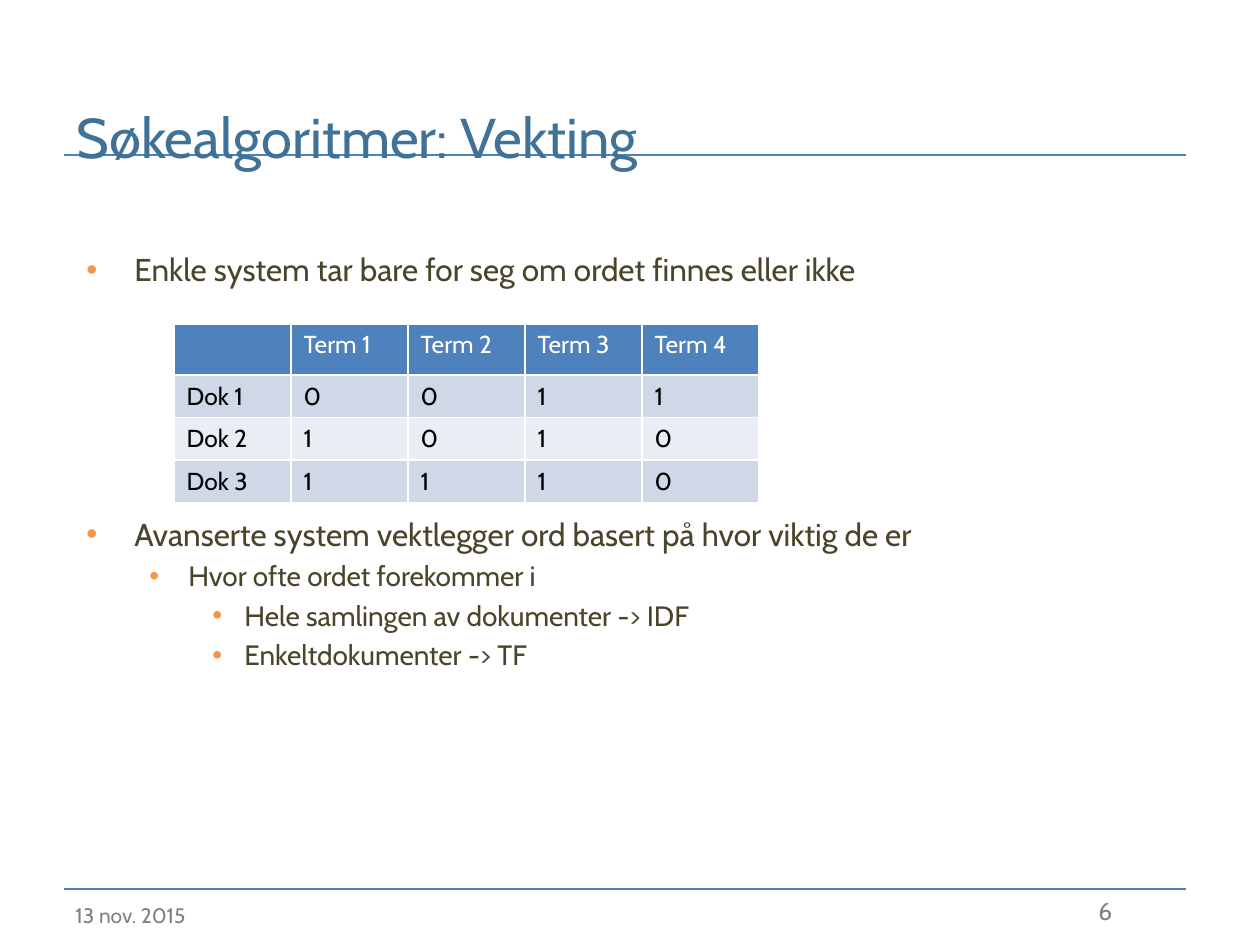
from dataclasses import dataclass

from lxml import etree
from pptx import Presentation, util as u
from pptx.dml.color import RGBColor
from pptx.enum import shapes, text
from pptx.oxml import ns


@dataclass(frozen=True)
class Theme:
    font: str = "Cabin"
    title: str = "407297"
    body: str = "4A452A"
    bullet: str = "F79646"
    muted: str = "808080"
    accent: str = "4F81BD"
    white: str = "FFFFFF"
    black: str = "000000"
    bands: tuple = ("D0D8E8", "E9EDF4")
    title_size: int = 32
    body_size: int = 18
    sub_size: int = 16
    small_size: int = 14
    date_size: int = 12
    line_width: float = 0.75
    border_width: int = 1


def px(n):
    return u.Emu(round(n * 914400 / 126))


def rgb(value):
    return RGBColor.from_string(value)


def add_xml(parent, tag, **attrs):
    return etree.SubElement(parent, ns.qn(tag), attrs)


class SlideBuilder:
    INDENTS = ((48, 48), (102, 39), (158, 32))

    def __init__(self, s, theme):
        self.s = s
        self.theme = theme

    def run(self, p, content, size, color):
        r = p.add_run()
        r.text = content
        r.font.name = self.theme.font
        r.font.size = u.Pt(size)
        r.font.bold = False
        r.font.color.rgb = rgb(color)

    def frame(self, x, y, w, h):
        tf = self.s.shapes.add_textbox(px(x), px(y), px(w), px(h)).text_frame
        tf.word_wrap = True
        tf.auto_size = text.MSO_AUTO_SIZE.NONE
        tf.vertical_anchor = text.MSO_ANCHOR.TOP
        return tf

    def label(self, content, box, size, color):
        self.run(self.frame(*box).paragraphs[0], content, size, color)

    def bullets(self, items, box):
        tf = self.frame(*box)
        for i, (level, before, content) in enumerate(items):
            p = tf.add_paragraph() if i else tf.paragraphs[0]
            p.level = level
            p.space_before = px(before)
            left, hang = self.INDENTS[level]
            pPr = p._p.get_or_add_pPr()
            pPr.set("marL", str(px(left)))
            pPr.set("indent", str(-px(hang)))
            color = add_xml(pPr, "a:buClr")
            add_xml(color, "a:srgbClr", val=self.theme.bullet)
            add_xml(pPr, "a:buFont", typeface="Arial")
            add_xml(pPr, "a:buChar", char="•")
            size = self.theme.sub_size if level else self.theme.body_size
            self.run(p, content, size, self.theme.body)

    def rule(self, x1, x2, y):
        line = self.s.shapes.add_connector(
            shapes.MSO_CONNECTOR.STRAIGHT, px(x1), px(y), px(x2), px(y))
        line.line.color.rgb = rgb(self.theme.accent)
        line.line.width = u.Pt(self.theme.line_width)
        add_xml(line._element.spPr, "a:effectLst")

    def borders(self, cell):
        tcPr = cell._tc.get_or_add_tcPr()
        width = str(u.Pt(self.theme.border_width))
        for i, side in enumerate(("lnL", "lnR", "lnT", "lnB")):
            ln = etree.Element(ns.qn(f"a:{side}"), {"w": width})
            fill = add_xml(ln, "a:solidFill")
            add_xml(fill, "a:srgbClr", val=self.theme.white)
            tcPr.insert(i, ln)

    def table(self, rows, x, y, col_width, row_height):
        t = self.theme
        n_rows, n_cols = len(rows), len(rows[0])
        table = self.s.shapes.add_table(
            n_rows, n_cols, px(x), px(y),
            px(n_cols * col_width), px(n_rows * row_height)).table
        for i, row in enumerate(rows):
            fill = t.bands[(i - 1) % 2] if i else t.accent
            color = t.black if i else t.white
            for j, value in enumerate(row):
                cell = table.cell(i, j)
                cell.fill.solid()
                cell.fill.fore_color.rgb = rgb(fill)
                self.borders(cell)
                if value:
                    p = cell.text_frame.paragraphs[0]
                    self.run(p, value, t.small_size, color)


def main():
    prs = Presentation()
    prs.slide_width, prs.slide_height = px(1260), px(945)
    theme = Theme()
    s = SlideBuilder(prs.slides.add_slide(prs.slide_layouts[6]), theme)

    for y in (155, 889):
        s.rule(64, 1186, y)
    s.label("Søkealgoritmer: Vekting", (64, 96, 953, 59),
            theme.title_size, theme.title)
    s.bullets((
        (0, 0, "Enkle system tar bare for seg om ordet finnes eller ikke"),
        (0, 227, "Avanserte system vektlegger ord basert på hvor viktig de er"),
        (1, 6, "Hvor ofte ordet forekommer i"),
        (2, 6, "Hele samlingen av dokumenter -> IDF"),
        (2, 6, "Enkeltdokumenter -> TF"),
    ), (74, 244, 1113, 600))
    s.table((
        ("", "Term 1", "Term 2", "Term 3", "Term 4"),
        ("Dok 1", "0", "0", "1", "1"),
        ("Dok 2", "1", "0", "1", "0"),
        ("Dok 3", "1", "1", "1", "0"),
    ), 174, 324, 117, 42)
    s.label("13 nov. 2015", (63, 896, 294, 43), theme.date_size, theme.muted)
    s.label("6", (1086, 890, 111, 50), theme.small_size, theme.muted)

    prs.save("out.pptx")


if __name__ == "__main__":
    main()
